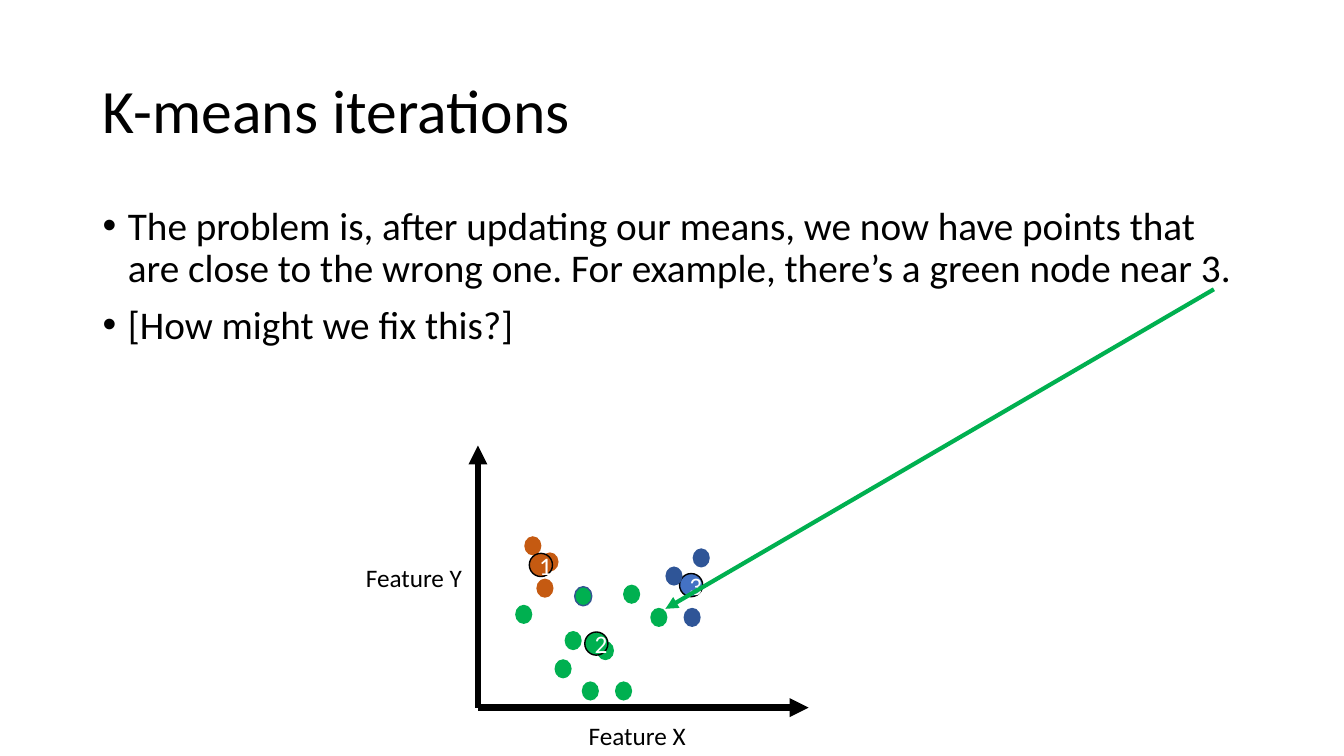
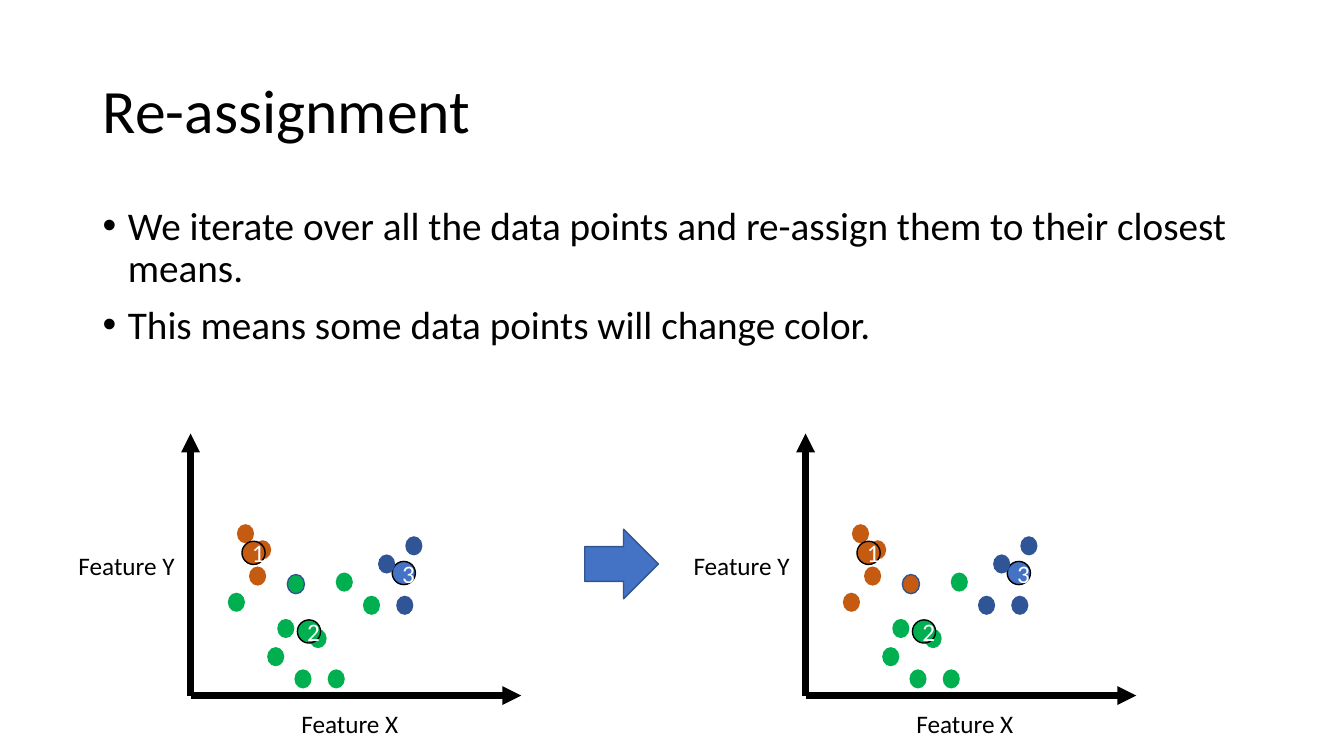
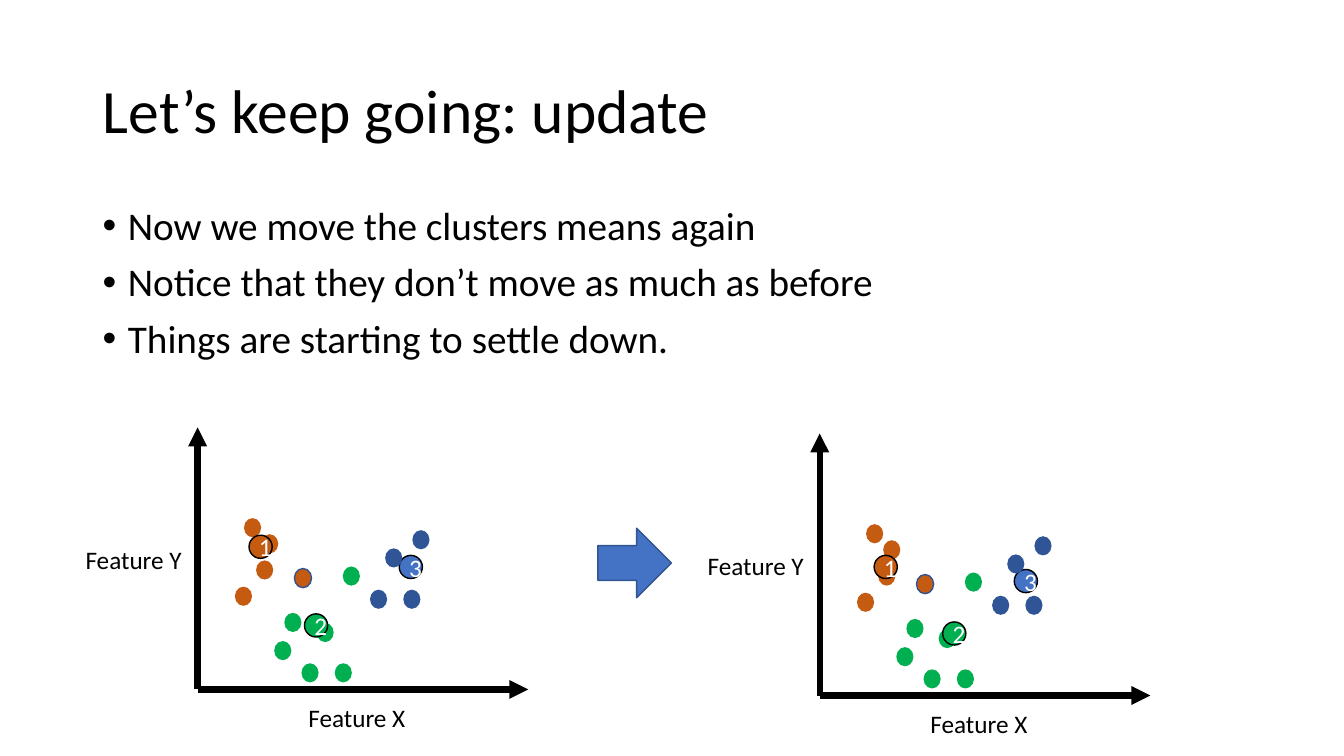
from lxml import etree
from pptx import Presentation
from pptx.dml.color import RGBColor
from pptx.enum.shapes import MSO_CONNECTOR, MSO_SHAPE
from pptx.enum.text import MSO_ANCHOR, MSO_AUTO_SIZE, PP_ALIGN
from pptx.oxml.ns import qn
from pptx.util import Inches, Pt

STRAIGHT = MSO_CONNECTOR.STRAIGHT
OVAL, RIGHT_ARROW = MSO_SHAPE.OVAL, MSO_SHAPE.RIGHT_ARROW
MIDDLE = MSO_ANCHOR.MIDDLE
LEFT, CENTER = PP_ALIGN.LEFT, PP_ALIGN.CENTER
GROW = MSO_AUTO_SIZE.SHAPE_TO_FIT_TEXT

SLIDE_W, SLIDE_H = 13.33, 7.5
MARGIN = 0.92
CONTENT_W = SLIDE_W - 2 * MARGIN
FONT = "Calibri"
COLORS = {
    "text": "000000", "white": "FFFFFF", "outline": "325491",
    "accent": "4472C4", "orange": "C55A11", "green": "00B050", "blue": "2F5597",
}
TITLE = {"size": Pt(44)}
BODY = {"size": Pt(28)}
LABEL = {"size": Pt(18)}

# Plot geometry, measured from the origin of the axes (y grows downwards)
AXIS_W, AXIS_H = 3.28, 2.6
LABEL_SIZE = (2.21, 0.4)
AXIS_LABELS = {"Feature X": (1, 0.08), "Feature Y": (-1.21, -1.49)}
POINT_SIZE = (0.17, 0.19)
MEAN_SIZE = (0.23, 0.23)
POINTS = [
    (0.46, -1.7), (0.58, -1.28), (0.96, -1.2), (0.37, -1.02), (2.13, -1.58),
    (1.86, -1.4), (1.44, -1.22), (2.04, -0.99), (1.71, -0.99), (0.86, -0.76),
    (1.18, -0.66), (0.76, -0.48), (1.36, -0.26), (1.03, -0.26), (0.63, -1.54),
]
OUTLINED_POINT = 2
CLUSTERS = {"O": "orange", "G": "green", "B": "blue"}
ASSIGNED = "OOGGBBGBGGGGGGO"
REASSIGNED = "OOOOBBGBBGGGGGO"
MEAN_COLORS = {"1": "orange", "2": "green", "3": "accent"}
MEANS = {"1": (0.51, -1.53), "2": (1.06, -0.75), "3": (2, -1.33)}
MOVED_MEANS = {"1": (0.54, -1.39), "2": (1.22, -0.73), "3": (1.93, -1.25)}


def rgb(name):
    return RGBColor.from_string(COLORS[name])


def inches(*values):
    return [Inches(v) for v in values]


def add_run(p, text, fmt, color="text"):
    r = p.add_run()
    r.text = text
    for name, value in {"name": FONT, **fmt}.items():
        setattr(r.font, name, value)
    r.font.color.rgb = rgb(color)


def add_bullet(p):
    """Give the paragraph a round bullet with a hanging indent."""
    pPr = p._p.get_or_add_pPr()
    pPr.set("marL", str(Inches(0.25)))
    pPr.set("indent", str(-Inches(0.25)))
    etree.SubElement(pPr, qn("a:buFont")).set("typeface", "Arial")
    etree.SubElement(pPr, qn("a:buChar")).set("char", "•")


def add_textbox(s, x, y, w, h):
    tf = s.shapes.add_textbox(*inches(x, y, w, h)).text_frame
    tf.word_wrap = True
    return tf


def add_text_slide(prs, title, bullets):
    s = prs.slides.add_slide(prs.slide_layouts[5])
    sp = s.shapes.title
    sp.left, sp.top, sp.width, sp.height = inches(MARGIN, 0.4, CONTENT_W, 1.45)
    sp.text_frame.vertical_anchor = MIDDLE
    p = sp.text_frame.paragraphs[0]
    p.alignment, p.line_spacing = LEFT, 0.9
    add_run(p, title, TITLE)

    tf = add_textbox(s, MARGIN, 2, CONTENT_W, 4.76)
    for i, text in enumerate(bullets):
        p = tf.add_paragraph() if i else tf.paragraphs[0]
        p.line_spacing, p.space_before = 0.9, Pt(10)
        add_bullet(p)
        add_run(p, text, BODY)
    return s


def add_arrow_line(s, start, end, color, width):
    line = s.shapes.add_connector(STRAIGHT, *inches(*start, *end))
    line.line.color.rgb = rgb(color)
    line.line.width = Pt(width)
    etree.SubElement(line.line._get_or_add_ln(), qn("a:tailEnd")).set("type", "triangle")
    etree.SubElement(line._element.spPr, qn("a:effectLst"))


def add_filled(s, kind, x, y, size, fill, outline=None):
    sp = s.shapes.add_shape(kind, *inches(x, y, *size))
    sp.shadow.inherit = False
    sp.fill.solid()
    sp.fill.fore_color.rgb = rgb(fill)
    if outline:
        sp.line.color.rgb = rgb(outline)
        sp.line.width = Pt(1)
    else:
        sp.line.fill.background()
    return sp


def add_mean(s, x0, y0, number, offset):
    sp = add_filled(s, OVAL, x0 + offset[0], y0 + offset[1], MEAN_SIZE,
                    MEAN_COLORS[number], "text")
    sp.text_frame.vertical_anchor = MIDDLE
    p = sp.text_frame.paragraphs[0]
    p.alignment = CENTER
    add_run(p, number, LABEL, "white")


def add_plot(s, x0, y0, clusters, means):
    """Draw a scatter plot with its origin at (x0, y0); mean 3 lies behind the points."""
    for end in ((x0 + AXIS_W, y0), (x0, y0 - AXIS_H)):
        add_arrow_line(s, (x0, y0), end, "text", 4.5)
    for text, (dx, dy) in AXIS_LABELS.items():
        tf = add_textbox(s, x0 + dx, y0 + dy, *LABEL_SIZE)
        tf.auto_size = GROW
        add_run(tf.paragraphs[0], text, LABEL)
    add_mean(s, x0, y0, "3", means["3"])
    for i, ((dx, dy), cluster) in enumerate(zip(POINTS, clusters)):
        outline = "outline" if i == OUTLINED_POINT else None
        add_filled(s, OVAL, x0 + dx, y0 + dy, POINT_SIZE, CLUSTERS[cluster], outline)
    for number in "12":
        add_mean(s, x0, y0, number, means[number])


def add_step_arrow(s, x, y):
    add_filled(s, RIGHT_ARROW, x, y, (0.73, 0.69), "accent", "outline")


def main():
    prs = Presentation()
    prs.slide_width, prs.slide_height = inches(SLIDE_W, SLIDE_H)

    s = add_text_slide(prs, "K-means iterations", [
        "The problem is, after updating our means, we now have points that are close "
        "to the wrong one. For example, there’s a green node near 3.",
        "[How might we fix this?]",
    ])
    add_plot(s, 4.74, 7.02, ASSIGNED, MEANS)
    add_arrow_line(s, (12.04, 2.87), (6.6, 6.04), "green", 3)

    s = add_text_slide(prs, "Re-assignment", [
        "We iterate over all the data points and re-assign them to their closest means.",
        "This means some data points will change color.",
    ])
    add_plot(s, 1.89, 6.9, ASSIGNED, MEANS)
    add_step_arrow(s, 5.8, 5.25)
    add_plot(s, 7.99, 6.9, REASSIGNED, MEANS)

    s = add_text_slide(prs, "Let’s keep going: update", [
        "Now we move the clusters means again",
        "Notice that they don’t move as much as before",
        "Things are starting to settle down.",
    ])
    add_plot(s, 8.13, 6.9, REASSIGNED, MOVED_MEANS)
    add_plot(s, 1.96, 6.84, REASSIGNED, MEANS)
    add_step_arrow(s, 5.93, 5.24)

    prs.save("out.pptx")


if __name__ == "__main__":
    main()
